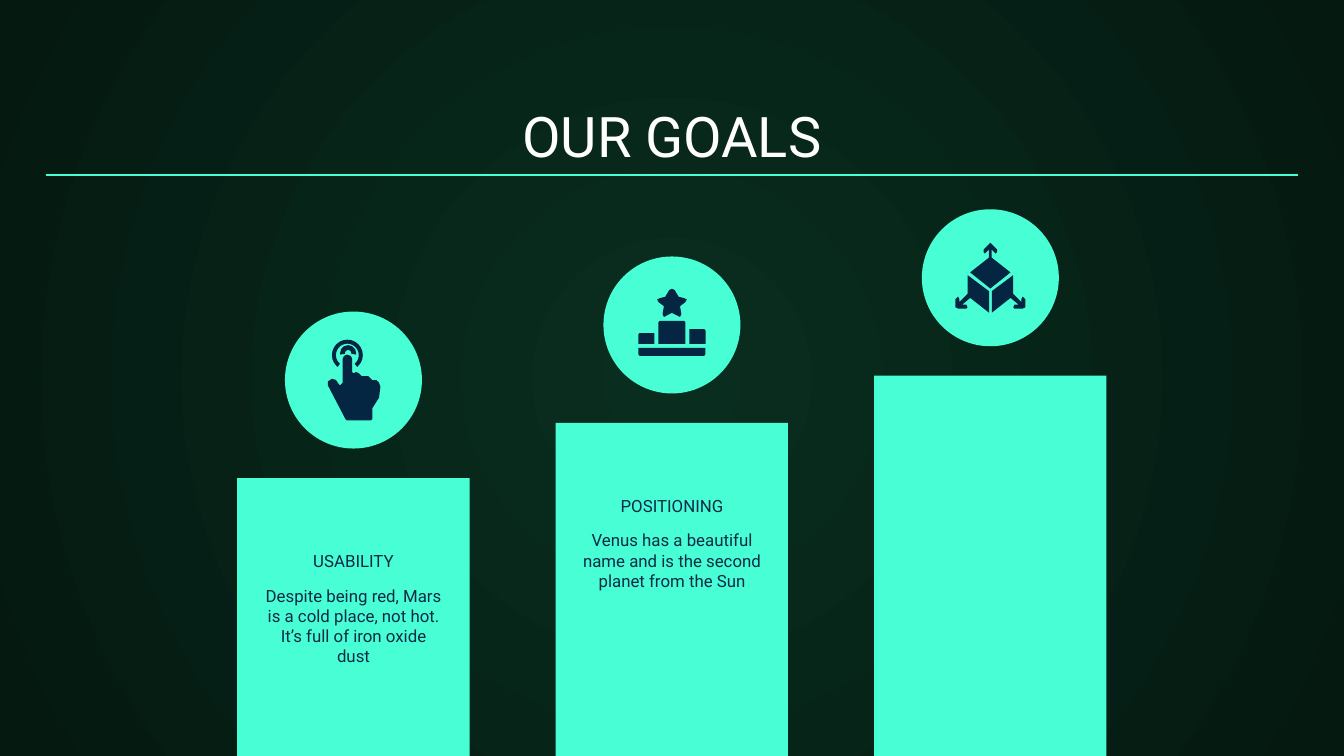
from lxml.etree import SubElement as Sub
from pptx import Presentation
from pptx.dml.color import RGBColor
from pptx.enum.shapes import MSO_CONNECTOR as Conn, MSO_SHAPE as Kind
from pptx.enum.text import MSO_ANCHOR as Anchor, MSO_AUTO_SIZE as Auto, PP_ALIGN as Align
from pptx.oxml import parse_xml
from pptx.oxml.ns import nsdecls, qn
from pptx.util import Pt

MINT, NAVY, INK, WHITE = "48FFD5", "052643", "0E2A47", "FFFFFF"
UNIT = 0.72
DISC = 73.4


def color(code):
    return RGBColor.from_string(code)


def paint(shape, code):
    shape.shadow.inherit = False
    shape.fill.solid()
    shape.fill.fore_color.rgb = color(code)
    shape.line.fill.background()
    return shape


def block(slide, kind, box, code):
    return paint(slide.shapes.add_shape(kind, *map(Pt, box)), code)


def write(shape, text, size, code, anchor):
    frame = shape.text_frame
    frame.word_wrap = True
    frame.auto_size = Auto.NONE
    frame.vertical_anchor = anchor
    frame.margin_left = frame.margin_right = Pt(7.2)
    frame.margin_top = frame.margin_bottom = Pt(7.2)
    para = frame.paragraphs[0]
    para.alignment = Align.CENTER
    run = para.add_run()
    run.text = text
    run.font.size = Pt(size)
    run.font.name = "Roboto"
    run.font.color.rgb = color(code)


def label(slide, box, text, anchor):
    write(slide.shapes.add_textbox(*map(Pt, box)), text, 9, INK, anchor)


def draw(slide, left, top, dots):
    pen = slide.shapes.build_freeform(*dots[0], scale=Pt(UNIT))
    pen.add_line_segments(dots[1:], close=True)
    paint(pen.convert_to_shape(Pt(left), Pt(top)), NAVY)


def flip(dots):
    return [(102 - x, y) for x, y in reversed(dots)]


def arc(slide, left, top, spot, size, start, end, thick):
    box = (left + spot[0] * UNIT, top + spot[1] * UNIT, size * UNIT, size * UNIT)
    shape = block(slide, Kind.BLOCK_ARC, box, NAVY)
    for i, value in enumerate((start * 0.6, end * 0.6, thick)):
        shape.adjustments[i] = value


def hand(slide, left, top):
    arc(slide, left, top, (35, 21), 23, 130, 50, 0.13)
    arc(slide, left, top, (41, 25), 12, 170, 10, 0.3)
    draw(slide, left, top, [
        (46, 32), (44, 33), (43, 35), (43, 53), (41, 55), (40, 54), (38, 51),
        (35, 50), (32, 52), (32, 55), (45, 80), (46, 81), (64, 81), (65, 80),
        (65, 72), (70, 64), (71, 56), (70, 53), (68, 51), (65, 51), (64, 50),
        (62, 48), (57, 48), (55, 46), (53, 45), (51, 46), (50, 45), (50, 35),
        (49, 33)])


def stand(slide, left, top):
    star = [(51, 24), (53, 25), (56, 30), (60, 31), (62, 32), (61, 34),
            (57, 37), (58, 43), (57, 45), (51, 42)]
    draw(slide, left, top, star + flip(star[1:-1]))
    for dots in (
            [(41, 65), (41, 49), (42, 48), (60, 48), (61, 49), (61, 65)],
            [(64, 65), (64, 54), (75, 54), (76, 55), (76, 65)],
            [(26, 65), (26, 58), (27, 57), (38, 57), (38, 65)],
            [(26, 68), (76, 68), (76, 73), (75, 74), (27, 74), (26, 73)]):
        draw(slide, left, top, dots)


def cube(slide, left, top):
    side = [(68, 49), (52, 61), (52, 77), (66, 66), (72, 71), (69, 71),
            (68, 73), (69, 74), (75, 74), (77, 73), (77, 67), (75, 65),
            (74, 67), (74, 69), (68, 63)]
    roof = [(51, 25), (52, 26), (56, 30), (56, 32), (55, 33), (54, 32),
            (52, 30), (52, 36), (66, 47), (51, 59)]
    for dots in (side, flip(side), roof + flip(roof[1:-1])):
        draw(slide, left, top, dots)


def column(slide, box, icon, name, text):
    left, top, wide, high = box
    block(slide, Kind.RECTANGLE, box, MINT)
    x, y = left + (wide - DISC) / 2, top - 89.2
    block(slide, Kind.OVAL, (x, y, DISC, DISC), MINT)
    icon(slide, x, y)
    if name:
        label(slide, (left - 19.4, top + 42, wide + 38.8, 15.1), name, Anchor.BOTTOM)
        label(slide, (left + 7.5, top + 50.2, wide - 15, 39.6), text, Anchor.TOP)


def header(slide, box, text):
    left, top, wide, high = box
    title = slide.shapes.title
    title.left, title.top, title.width, title.height = map(Pt, box)
    write(title, text, 30, WHITE, Anchor.BOTTOM)
    y = Pt(top + 43.4)
    rule = slide.shapes.add_connector(Conn.STRAIGHT, Pt(left), y, Pt(left + wide), y)
    rule.line.color.rgb = color(MINT)
    rule.line.width = Pt(0.75)
    Sub(rule._element.spPr, qn("a:effectLst"))


def backdrop(slide, inner, outer):
    slide._element.cSld.insert(0, parse_xml(
        f'<p:bg {nsdecls("p", "a")}><p:bgPr><a:gradFill><a:gsLst>'
        f'<a:gs pos="0"><a:srgbClr val="{inner}"/></a:gs>'
        f'<a:gs pos="100000"><a:srgbClr val="{outer}"/></a:gs></a:gsLst>'
        '<a:path path="circle"><a:fillToRect l="50000" t="50000" r="50000" b="50000"/>'
        '</a:path></a:gradFill><a:effectLst/></p:bgPr></p:bg>'))


def main():
    deck = Presentation()
    deck.slide_width, deck.slide_height = Pt(720), Pt(405)
    slide = deck.slides.add_slide(deck.slide_layouts[5])
    backdrop(slide, "092E20", "051911")
    header(slide, (24.5, 50.3, 671, 47.5), "OUR GOALS")
    goals = [
        (256.1, hand, "USABILITY",
         "Despite being red, Mars is a cold place, not hot. It’s full of iron oxide dust"),
        (226.6, stand, "POSITIONING",
         "Venus has a beautiful name and is the second planet from the Sun"),
        (201.3, cube, "", ""),
    ]
    for i, (top, icon, name, text) in enumerate(goals):
        box = (127.1 + 170.6 * i, top, 124.5, 407.3 - top)
        column(slide, box, icon, name, text)
    deck.save("out.pptx")


if __name__ == "__main__":
    main()
